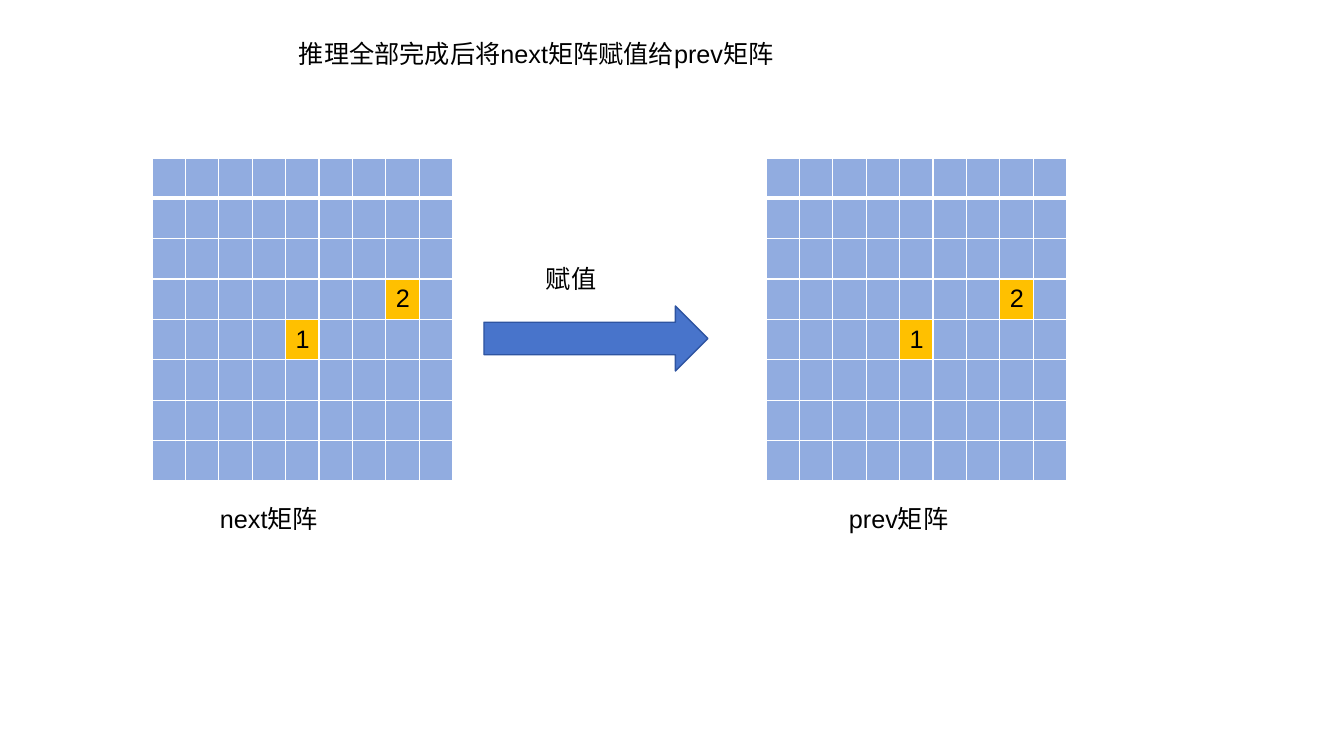
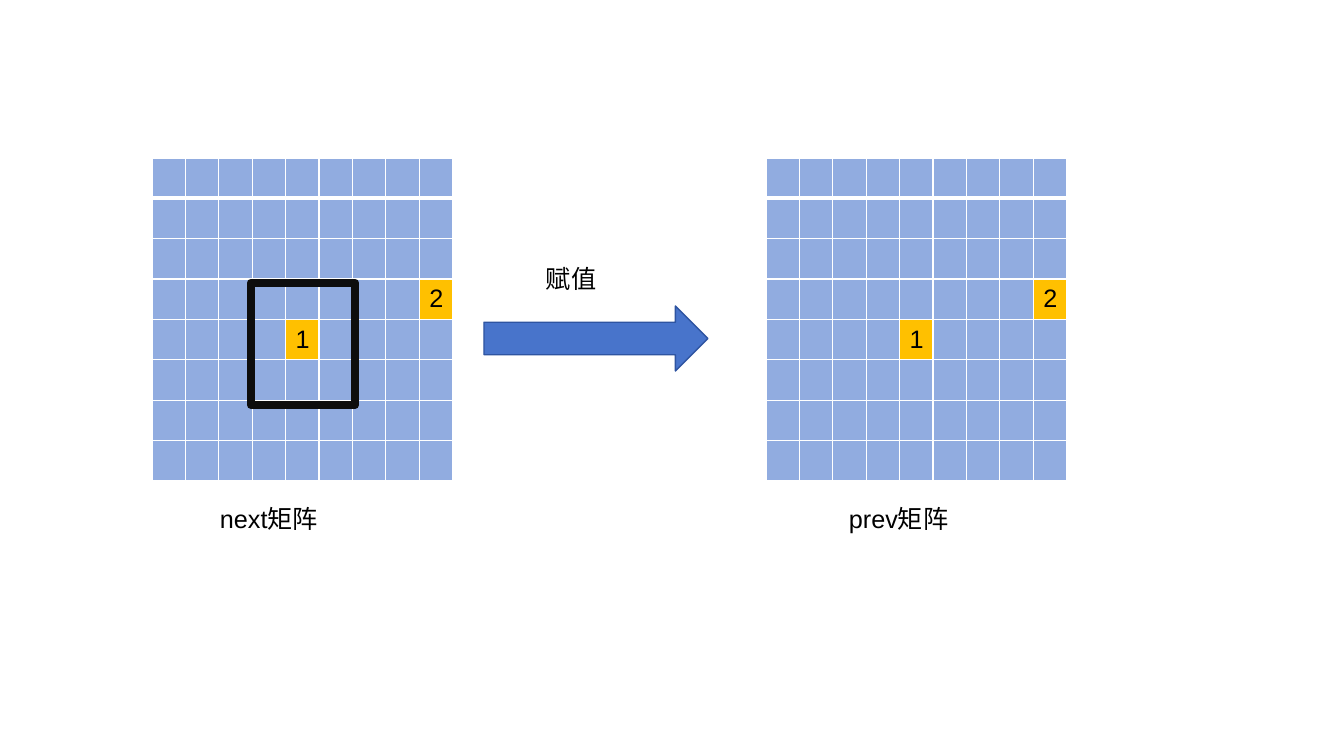
import pptx
import pptx.dml.color
import pptx.enum.shapes
import pptx.enum.text
import pptx.oxml
import pptx.oxml.ns
import pptx.util

PIXEL = 914400 / 100.8
BLUE_CELL = pptx.dml.color.RGBColor(0x91, 0xAC, 0xE0)
GOLD_CELL = pptx.dml.color.RGBColor(0xFF, 0xC0, 0x00)
ARROW_FILL = pptx.dml.color.RGBColor(0x48, 0x74, 0xCB)
ARROW_LINE = pptx.dml.color.RGBColor(0x2E, 0x54, 0xA1)
WHITE = pptx.dml.color.RGBColor(0xFF, 0xFF, 0xFF)
BLACK = pptx.dml.color.RGBColor(0x00, 0x00, 0x00)
WINDOW_LINE = pptx.dml.color.RGBColor(0x0D, 0x0D, 0x0D)

ROWS = 8
COLUMNS = 9
MATRIX_TOP = 158
MATRIX_WIDTH = 301
MATRIX_HEIGHT = 323
LABEL_HEIGHT = 40


def px(*lengths):
    return [pptx.util.Emu(round(length * PIXEL)) for length in lengths]


def write(frame, text):
    frame.text = text
    for span in frame.paragraphs[0].runs:
        span.font.name = "Arial"
        span.font.size = pptx.util.Pt(18)
        span.font.color.rgb = BLACK


deck = pptx.Presentation()
deck.slide_width, deck.slide_height = px(1344, 756)

matrix_lefts = [152, 766]
shared_labels = [
    ("next矩阵", 210, 498, 203),
    ("prev矩阵", 839, 498, 203),
    ("赋值", 536, 258, 148),
]
title = ("推理全部完成后将next矩阵赋值给prev矩阵", 289, 33, 549)
pages = [
    ({(3, 7): "2", (4, 4): "1"}, [title] + shared_labels, None),
    ({(3, 8): "2", (4, 4): "1"}, shared_labels, (251, 283, 104, 122)),
]

for marks, labels, window in pages:
    page = deck.slides.add_slide(deck.slide_layouts[6])

    for left in matrix_lefts:
        matrix = page.shapes.add_table(
            ROWS, COLUMNS, *px(left, MATRIX_TOP, MATRIX_WIDTH, MATRIX_HEIGHT)
        ).table
        for column in matrix.columns:
            column.width = px(MATRIX_WIDTH / COLUMNS)[0]
        for row in matrix.rows:
            row.height = px(MATRIX_HEIGHT / ROWS)[0]
        for row in range(ROWS):
            for column in range(COLUMNS):
                cell = matrix.cell(row, column)
                cell.vertical_anchor = pptx.enum.text.MSO_ANCHOR.MIDDLE
                cell.margin_top, cell.margin_bottom = px(2, 2)
                properties = cell._tc.get_or_add_tcPr()
                for side in "LRTB":
                    heavy = (row, side) in [(0, "B"), (1, "T")]
                    properties.append(pptx.oxml.parse_xml(
                        f'<a:ln{side} {pptx.oxml.ns.nsdecls("a")} '
                        f'w="{pptx.util.Pt(3 if heavy else 1)}"><a:solidFill>'
                        f'<a:srgbClr val="{WHITE}"/></a:solidFill></a:ln{side}>'
                    ))
                cell.fill.solid()
                cell.fill.fore_color.rgb = GOLD_CELL if (row, column) in marks else BLUE_CELL
                if (row, column) in marks:
                    write(cell.text_frame, marks[row, column])

    arrow = page.shapes.add_shape(
        pptx.enum.shapes.MSO_SHAPE.RIGHT_ARROW, *px(484, 306, 224, 65)
    )
    arrow.shadow.inherit = False
    arrow.fill.solid()
    arrow.fill.fore_color.rgb = ARROW_FILL
    arrow.line.color.rgb = ARROW_LINE
    arrow.line.width = pptx.util.Pt(1)

    for text, left, top, width in labels:
        box = page.shapes.add_textbox(*px(left, top, width, LABEL_HEIGHT))
        box.text_frame.word_wrap = True
        box.text_frame.auto_size = pptx.enum.text.MSO_AUTO_SIZE.SHAPE_TO_FIT_TEXT
        write(box.text_frame, text)

    if window:
        frame = page.shapes.add_shape(pptx.enum.shapes.MSO_SHAPE.RECTANGLE, *px(*window))
        frame.shadow.inherit = False
        frame.fill.background()
        frame.line.color.rgb = WINDOW_LINE
        frame.line.width = pptx.util.Pt(6)

deck.save("out.pptx")
